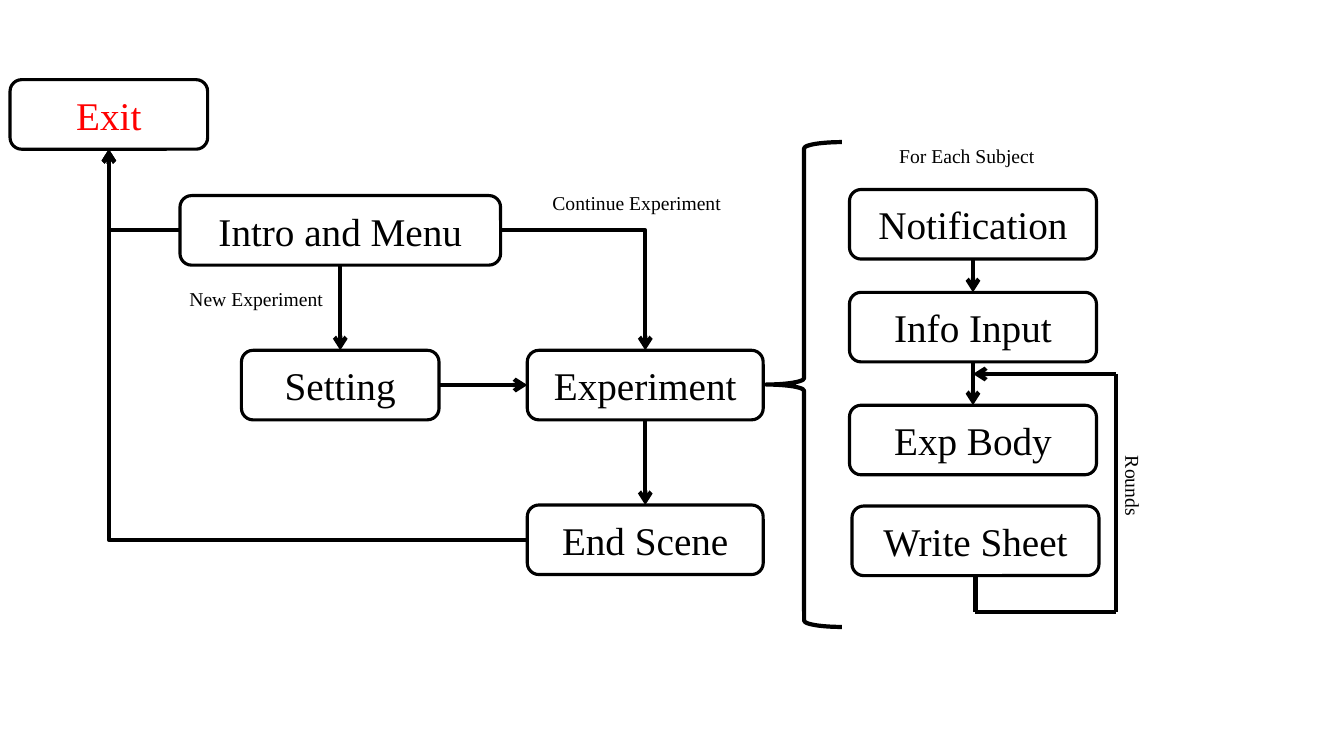
from pptx import Presentation
from pptx.dml.color import RGBColor
from pptx.enum.shapes import MSO_CONNECTOR, MSO_SHAPE
from pptx.enum.text import MSO_ANCHOR, PP_ALIGN
from pptx.oxml.ns import qn
from pptx.util import Inches, Pt
from lxml.etree import SubElement

presentation = Presentation()
presentation.slide_width = Inches(13.33)
presentation.slide_height = Inches(7.5)
slide = presentation.slides.add_slide(presentation.slide_layouts[6])

column = row = Inches(0.1)
black, red = "000000", "FF0000"
box_height = 6.9
top, left, bottom, right = range(4)


def write(shape, text, size=14, color=black, align=PP_ALIGN.LEFT, anchor=MSO_ANCHOR.TOP):
    frame = shape.text_frame
    frame.word_wrap = True
    frame.vertical_anchor = anchor
    paragraph = frame.paragraphs[0]
    paragraph.alignment = align
    run = paragraph.add_run()
    run.text = text
    run.font.name = "Times New Roman"
    run.font.size = Pt(size)
    run.font.color.rgb = RGBColor.from_string(color)


def style_line(shape, width, arrow=False):
    shape.line.color.rgb = RGBColor.from_string(black)
    shape.line.width = Pt(width)
    if arrow:
        SubElement(shape.line._get_or_add_ln(), qn("a:tailEnd"), type="arrow")


boxes = {}
for text, center, box_top, width, color in [
    ("Exit", 10.8, 7.9, 19.6, red),
    ("Intro and Menu", 33.75, 19.4, 31.8, black),
    ("Setting", 33.75, 34.75, 19.6, black),
    ("Experiment", 64, 34.75, 23.4, black),
    ("End Scene", 64, 50.1, 23.4, black),
    ("Notification", 96.5, 18.8, 24.5, black),
    ("Info Input", 96.5, 29, 24.5, black),
    ("Exp Body", 96.5, 40.2, 24.5, black),
    ("Write Sheet", 96.75, 50.2, 24.5, black),
]:
    box = slide.shapes.add_shape(
        MSO_SHAPE.FLOWCHART_ALTERNATE_PROCESS,
        int((center - width / 2) * column), int(box_top * row),
        int(width * column), int(box_height * row))
    box.shadow.inherit = False
    box.fill.background()
    style_line(box, 2.25)
    write(box, text, size=28, color=color, align=PP_ALIGN.CENTER, anchor=MSO_ANCHOR.MIDDLE)
    boxes[text] = box

brace = slide.shapes.add_shape(
    MSO_SHAPE.LEFT_BRACE, 76 * column, int(14.1 * row), int(7.5 * column), int(48.1 * row))
brace.shadow.inherit = False
brace.fill.background()
style_line(brace, 3)

for start, start_side, end, end_side in [
    ("Intro and Menu", left, "Exit", bottom),
    ("End Scene", left, "Exit", bottom),
    ("Intro and Menu", right, "Experiment", top),
    ("Intro and Menu", bottom, "Setting", top),
    ("Setting", right, "Experiment", left),
    ("Experiment", bottom, "End Scene", top),
    ("Notification", bottom, "Info Input", top),
    ("Info Input", bottom, "Exp Body", top),
]:
    bent = (start_side + end_side) % 2 == 1
    kind = MSO_CONNECTOR.ELBOW if bent else MSO_CONNECTOR.STRAIGHT
    connector = slide.shapes.add_connector(kind, 0, 0, 0, 0)
    connector.begin_connect(boxes[start], start_side)
    connector.end_connect(boxes[end], end_side)
    if bent:
        connector._element.spPr.find(qn("a:prstGeom")).set("prst", "bentConnector2")
    style_line(connector, 3, arrow=True)
    SubElement(connector._element.spPr, qn("a:effectLst"))

loop = [(96.75, 57.1), (96.75, 60.75), (110.7, 60.75), (110.7, 37.1), (96.5, 37.1)]
for start, end in zip(loop, loop[1:]):
    connector = slide.shapes.add_connector(
        MSO_CONNECTOR.STRAIGHT, int(start[0] * column), int(start[1] * row),
        int(end[0] * column), int(end[1] * row))
    style_line(connector, 3, arrow=end == loop[-1])
    SubElement(connector._element.spPr, qn("a:effectLst"))

for text, label_left, label_top, width, rotation in [
    ("For Each Subject", 88.2, 13.8, 16.6, 0),
    ("New Experiment", 17.8, 28, 16.6, 0),
    ("Continue Experiment", 53.8, 18.4, 19.5, 0),
    ("Rounds", 108.2, 46.7, 8.3, 90),
]:
    label = slide.shapes.add_textbox(
        int(label_left * column), int(label_top * row), int(width * column), int(3.4 * row))
    label.rotation = rotation
    write(label, text)

presentation.save("out.pptx")
